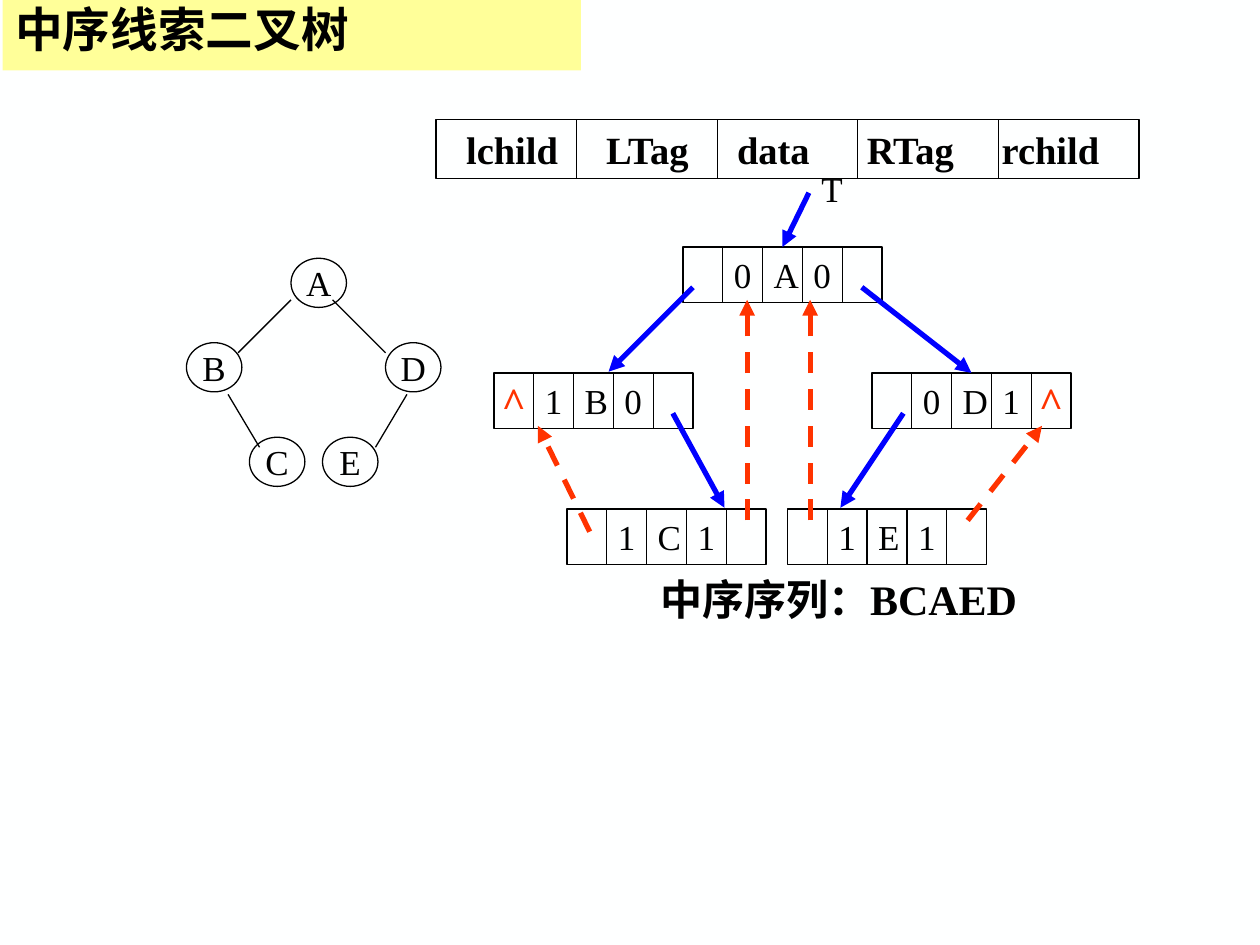
from pptx import Presentation
from pptx.dml.color import RGBColor
from pptx.enum.dml import MSO_LINE
from pptx.enum.shapes import MSO_CONNECTOR, MSO_SHAPE
from pptx.enum.text import MSO_ANCHOR, PP_ALIGN
from pptx.oxml.ns import qn
from pptx.util import Inches, Pt
from lxml import etree

STRAIGHT = MSO_CONNECTOR.STRAIGHT
RECTANGLE, OVAL = MSO_SHAPE.RECTANGLE, MSO_SHAPE.OVAL
LEFT, CENTER = PP_ALIGN.LEFT, PP_ALIGN.CENTER
TOP, MIDDLE = MSO_ANCHOR.TOP, MSO_ANCHOR.MIDDLE
DASH = MSO_LINE.DASH

THEME = {
    "latin": "Times New Roman", "chinese": "Noto Sans CJK SC",
    "black": "000000", "blue": "0000FF", "red": "FF3300",
    "yellow": "FFFF99", "background": "FEFFFF",
    "title": 27.2, "large": 24, "field": 22, "text": 20,
    "thin": 0.75, "thick": 3,
}

TITLE = "中序线索二叉树"
SEQUENCE = "中序序列：BCAED"
FIELDS = ["lchild", "LTag", "data", "RTag", "rchild"]
FIELD_TABS = [1.11, 2.15, 3.18, 4.25]
HEADER_BOX = (3.46, 0.95, 5.58, 0.47)

TREE_NODES = [("A", 2.31, 2.05), ("B", 1.48, 2.72), ("C", 1.98, 3.47),
              ("D", 3.06, 2.72), ("E", 2.56, 3.47)]
TREE_EDGES = [((2.31, 2.38), (1.89, 2.8)), ((2.64, 2.38), (3.06, 2.8)),
              ((1.81, 3.13), (2.06, 3.55)), ((3.23, 3.13), (2.98, 3.55))]

RECORDS = [
    (5.42, 1.96, ["", "0", "A", "0", ""]),
    (3.92, 2.96, ["^", "1", "B", "0", ""]),
    (6.92, 2.96, ["", "0", "D", "1", "^"]),
    (4.5, 4.04, ["", "1", "C", "1", ""]),
    (6.25, 4.04, ["", "1", "E", "1", ""]),
]
RECORD_WIDTH, RECORD_HEIGHT = 1.58, 0.44
DATA_COLUMN = 2

CHILD_LINKS = [((5.5, 2.28), (4.83, 2.95), None), ((6.84, 2.28), (7.75, 2.95), "D"),
               ((5.34, 3.28), (5.75, 4.03), None), ((7.17, 3.28), (6.67, 4.03), None),
               ((6.42, 1.53), (6.25, 1.95), "A")]
THREADS = [((4.68, 4.22), (4.27, 3.38)), ((5.93, 4.13), (5.93, 2.38)),
           ((6.43, 4.13), (6.43, 2.38)), ((7.68, 4.13), (8.27, 3.38))]


def color(name):
    return RGBColor.from_string(THEME[name])


def write(shape, text, size="text", ink="black", bold=False, align=LEFT,
          anchor=MIDDLE, wrap=False, latin="latin"):
    frame = shape.text_frame
    frame.word_wrap = wrap
    frame.vertical_anchor = anchor
    frame.margin_left = frame.margin_right = Inches(0.1)
    frame.margin_top = frame.margin_bottom = Inches(0.05)
    paragraph = frame.paragraphs[0]
    paragraph.alignment = align
    run = paragraph.add_run()
    run.text = text
    run.font.name = THEME[latin]
    run.font.size = Pt(THEME[size])
    run.font.bold = bold
    run.font.color.rgb = color(ink)
    east_asian = etree.Element(qn("a:ea"), typeface=THEME["chinese"])
    run.font._element.find(qn("a:latin")).addnext(east_asian)
    return paragraph


def add_outline(slide, kind, box):
    shape = slide.shapes.add_shape(kind, *map(Inches, box))
    shape.shadow.inherit = False
    shape.fill.background()
    shape.line.color.rgb = color("black")
    shape.line.width = Pt(THEME["thin"])
    return shape


def add_label(slide, text, box, **style):
    label = slide.shapes.add_textbox(*map(Inches, box))
    write(label, text, **style)


def add_line(slide, start, end, ink="black", weight="thin", arrow=False, dash=None):
    line = slide.shapes.add_connector(STRAIGHT, *map(Inches, start + end))
    line.line.color.rgb = color(ink)
    line.line.width = Pt(THEME[weight])
    if dash:
        line.line.dash_style = dash
    properties = line._element.spPr
    if arrow:
        etree.SubElement(properties.find(qn("a:ln")), qn("a:tailEnd"), type="triangle")
    etree.SubElement(properties, qn("a:effectLst"))
    return line


def add_divided_box(slide, box, columns):
    left, top, width, height = box
    shape = add_outline(slide, RECTANGLE, box)
    for column in range(1, columns):
        x = left + column * width / columns
        add_line(slide, (x, top), (x, top + height))
    return shape


def add_title(slide):
    title = slide.shapes.title
    title.left, title.top, title.width, title.height = map(Inches, (0.02, 0, 4.59, 0.56))
    title.fill.solid()
    title.fill.fore_color.rgb = color("yellow")
    paragraph = write(title, TITLE, size="title", bold=True, anchor=TOP,
                      wrap=True, latin="chinese")
    paragraph.line_spacing = 0.9


def add_tree(slide):
    for letter, left, top in TREE_NODES:
        node = add_outline(slide, OVAL, (left, top, 0.44, 0.39))
        write(node, letter, align=CENTER)
    for start, end in TREE_EDGES:
        add_line(slide, start, end)


def add_header(slide):
    header = add_divided_box(slide, HEADER_BOX, len(FIELDS))
    paragraph = write(header, "\t".join(FIELDS), size="field", bold=True, wrap=True)
    header.text_frame.margin_left = Inches(0.24)
    tabs = etree.SubElement(paragraph._p.get_or_add_pPr(), qn("a:tabLst"))
    for position in FIELD_TABS:
        etree.SubElement(tabs, qn("a:tab"), pos=str(Inches(position)), algn="l")


def add_records(slide):
    boxes = {}
    for left, top, cells in RECORDS:
        box = add_divided_box(slide, (left, top, RECORD_WIDTH, RECORD_HEIGHT), len(cells))
        boxes[cells[DATA_COLUMN]] = box
        write(box, cells[DATA_COLUMN], wrap=True)
        box.text_frame.margin_left = Inches(0.72)
        for column, text in enumerate(cells):
            if not text or column == DATA_COLUMN:
                continue
            center = left + (column + 0.5) * RECORD_WIDTH / len(cells)
            empty = text == "^"
            width, height = (0.39, 0.5) if empty else (0.34, 0.44)
            add_label(slide, text,
                      (center - width / 2, top + (RECORD_HEIGHT - height) / 2, width, height),
                      size="large" if empty else "text",
                      ink="red" if empty else "black", bold=empty, align=CENTER)
    return boxes


def main():
    presentation = Presentation()
    presentation.slide_width, presentation.slide_height = Inches(10), Inches(7.5)
    slide = presentation.slides.add_slide(presentation.slide_layouts[5])
    slide.background.fill.solid()
    slide.background.fill.fore_color.rgb = color("background")

    add_title(slide)
    add_tree(slide)
    add_header(slide)
    boxes = add_records(slide)
    for start, end, target in CHILD_LINKS:
        link = add_line(slide, start, end, "blue", "thick", arrow=True)
        if target:
            link.end_connect(boxes[target], 0)
    for start, end in THREADS:
        add_line(slide, start, end, "red", "thick", arrow=True, dash=DASH)
    add_label(slide, "T", (6.42, 1.28, 0.37, 0.44), anchor=TOP)
    add_label(slide, SEQUENCE, (5.14, 4.5, 3.11, 0.9), size="large", bold=True, anchor=TOP)
    presentation.save("out.pptx")


if __name__ == "__main__":
    main()
